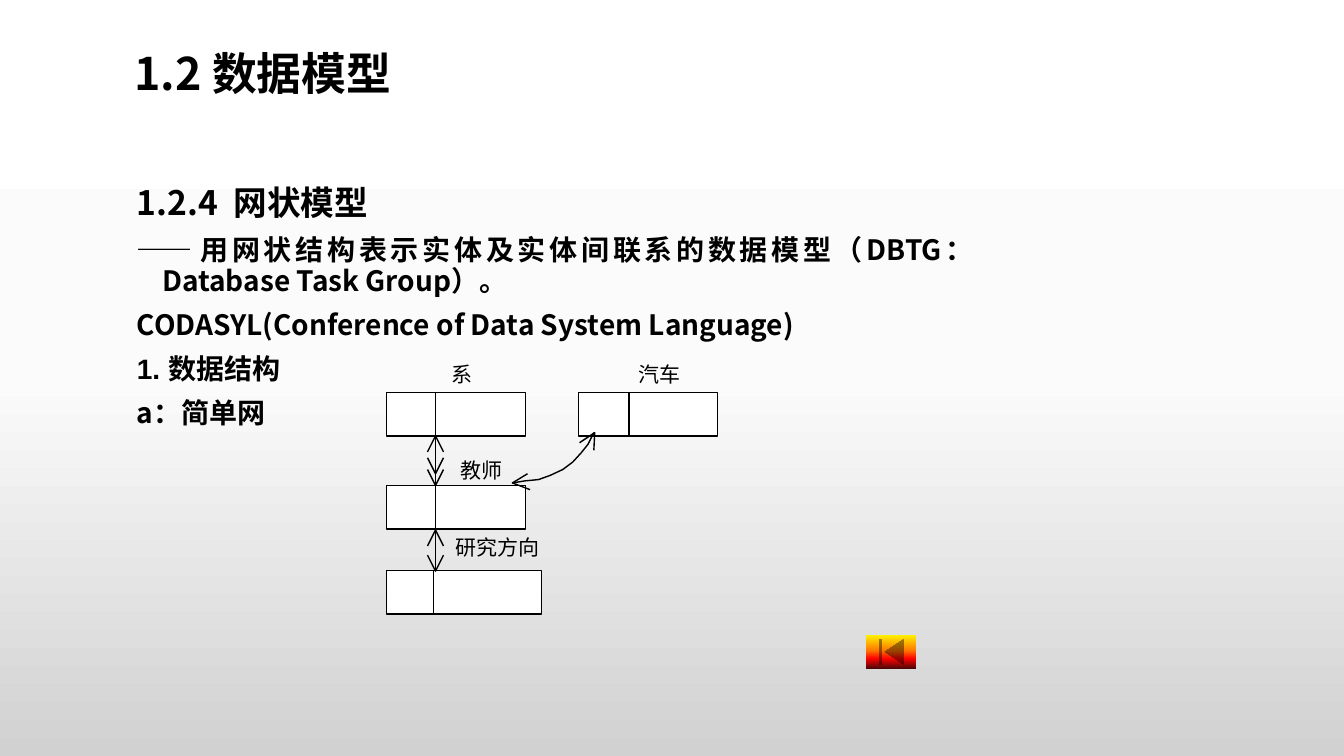
import dataclasses

import lxml.etree
import pptx
import pptx.dml.color
import pptx.enum.shapes
import pptx.enum.text
import pptx.oxml.ns
import pptx.util

qn = pptx.oxml.ns.qn
ALIGN = pptx.enum.text.PP_ALIGN
ANCHOR = pptx.enum.text.MSO_ANCHOR
SHAPE = pptx.enum.shapes.MSO_SHAPE


@dataclasses.dataclass(frozen=True)
class Theme:
    font: str = "Noto Sans CJK SC"
    number_font: str = "Arial"
    ink: str = "000000"
    paper: str = "FFFFFF"
    backdrop: tuple = ((0, "FFFFFF"), (50, "FBFBFB"), (100, "D1D1D1"))
    flame: tuple = ((0, "FFF200"), (45, "FF7A00"), (70, "FF0300"), (100, "4D0808"))
    title: int = 32
    heading: int = 24
    body: int = 20
    label: int = 15
    line: int = 1


THEME = Theme()

# Grid: 160 columns by 90 rows of square cells
COLUMNS, ROWS = 160, 90
CELL = pptx.util.Inches(7.5) // ROWS

# Record boxes: all share one height, with a divider inside
BOX_H, BOX_W = 5.2, 16.55
LEFT, RIGHT = 46, 68.9
TOP, MIDDLE, BOTTOM = 46.7, 57.8, 67.9
AXIS = 51.85


def grid(*cells):
    return [round(c * CELL) for c in cells]


def rgb(code):
    return pptx.dml.color.RGBColor.from_string(code)


def write(p, text, *, size, font=THEME.font, bold=False, align=ALIGN.LEFT,
          spacing=1.0, before=0, hanging=0):
    """Fill one paragraph with formatted text."""
    p.alignment, p.line_spacing = align, spacing
    p.space_before = pptx.util.Pt(before)
    r = p.add_run()
    r.text = text
    r.font.size, r.font.bold = pptx.util.Pt(size), bold
    r.font.color.rgb = rgb(THEME.ink)
    r.font.name = font
    ea = lxml.etree.SubElement(r.font._element, qn("a:ea"))
    ea.set("typeface", THEME.font)
    pPr = p._p.get_or_add_pPr()
    indent = pptx.util.Inches(hanging)
    pPr.set("marL", str(indent))
    pPr.set("indent", str(-indent))
    lxml.etree.SubElement(pPr, qn("a:buNone"))


def gradient(fill, element, stops):
    """Vertical gradient, first stop at the top."""
    fill.gradient()
    fill.gradient_angle = 270
    gs_lst = element.find(".//" + qn("a:gsLst"))
    for gs in list(gs_lst):
        gs_lst.remove(gs)
    for position, code in stops:
        gs = lxml.etree.SubElement(gs_lst, qn("a:gs"), pos=str(position * 1000))
        lxml.etree.SubElement(gs, qn("a:srgbClr"), val=code)


def outline(sp):
    sp.line.color.rgb = rgb(THEME.ink)
    sp.line.width = pptx.util.Pt(THEME.line)


def place(sp, *cells, anchor):
    sp.left, sp.top, sp.width, sp.height = grid(*cells)
    tf = sp.text_frame
    tf.auto_size = pptx.enum.text.MSO_AUTO_SIZE.NONE
    tf.vertical_anchor = anchor
    return tf


def line(s, x1, y1, x2, y2):
    cn = s.shapes.add_connector(
        pptx.enum.shapes.MSO_CONNECTOR.STRAIGHT, *grid(x1, y1, x2, y2))
    outline(cn)
    lxml.etree.SubElement(cn.element.spPr, qn("a:effectLst"))


def polyline(s, *points):
    start, *rest = [grid(*point) for point in points]
    builder = s.shapes.build_freeform(*start)
    builder.add_line_segments(rest, close=False)
    sp = builder.convert_to_shape()
    sp.shadow.inherit = False
    sp.fill.background()
    outline(sp)


def record(s, x, y, divider, width=BOX_W):
    sp = s.shapes.add_shape(SHAPE.RECTANGLE, *grid(x, y, width, BOX_H))
    sp.shadow.inherit = False
    sp.fill.solid()
    sp.fill.fore_color.rgb = rgb(THEME.paper)
    outline(sp)
    line(s, divider, y + 0.1, divider, y + 5.1)


def head(s, tip, direction):
    """Open vertical arrowhead: direction 1 points down, -1 up."""
    back = tip - 1.9 * direction
    polyline(s, (AXIS - 0.95, back), (AXIS, tip), (AXIS + 0.95, back))


def link(s, top, bottom):
    line(s, AXIS, top, AXIS, bottom)
    head(s, top, -1)
    head(s, bottom, 1)


def label(s, text, x, y):
    sp = s.shapes.add_textbox(*grid(x, y, 2.5 * len(text), 3))
    tf = sp.text_frame
    tf.margin_left = tf.margin_right = tf.margin_top = tf.margin_bottom = 0
    tf.word_wrap = False
    write(tf.paragraphs[0], text, size=THEME.label)


def add_text(s):
    tf = place(s.shapes.title, 14.8, 5.2, 102, 7.6, anchor=ANCHOR.MIDDLE)
    write(tf.paragraphs[0], "1.2 数据模型", size=THEME.title, bold=True, spacing=0.9)

    tf = place(s.placeholders[1], 15.1, 21.6, 102, 58, anchor=ANCHOR.TOP)
    items = [
        ("1.2.4  网状模型", THEME.heading, THEME.font),
        ("——用网状结构表示实体及实体间联系的数据模型（DBTG：Database Task Group）。",
         THEME.body, THEME.font),
        ("CODASYL(Conference of Data System Language)", THEME.body, THEME.font),
        ("1. 数据结构", THEME.body, THEME.number_font),
        ("a：简单网", THEME.body, THEME.font),
    ]
    for i, (text, size, font) in enumerate(items):
        p = tf.add_paragraph() if i else tf.paragraphs[0]
        write(p, text, size=size, font=font, bold=True, align=ALIGN.JUSTIFY,
              spacing=0.9, before=10, hanging=0.25)


def add_network(s):
    # Records
    record(s, LEFT, TOP, AXIS)
    record(s, RIGHT, TOP, 74.9)
    record(s, LEFT, MIDDLE, AXIS)
    record(s, LEFT, BOTTOM, 51.6, width=18.5)

    # Vertical links; the upper one has a double head below
    link(s, TOP + BOX_H, MIDDLE)
    line(s, AXIS, 54.6, AXIS, 56.4)
    head(s, 56.4, 1)
    link(s, 63.1, 68)

    # Curved link with its two heads
    polyline(s, (61, 57.5), (62.5, 57.25), (64.1, 57.1), (65.5, 56.6), (67, 55.9),
             (68.2, 55), (69.2, 53.9), (70, 52.9), (70.7, 51.5))
    polyline(s, (62.8, 56.4), (61, 57.5), (63.1, 58.3))
    polyline(s, (70.7, 53.6), (70.8, 51.5), (69, 52.7))

    # Record names
    label(s, "系", 53.8, 43)
    label(s, "汽车", 76, 43)
    label(s, "教师", 54.8, 54.5)
    label(s, "研究方向", 54.2, 63.6)


def add_button(s):
    sp = s.shapes.add_shape(SHAPE.ACTION_BUTTON_BEGINNING, *grid(103.1, 75.6, 6, 4))
    sp.shadow.inherit = False
    gradient(sp.fill, sp.element, THEME.flame)
    sp.line.fill.background()


def main():
    prs = pptx.Presentation()
    prs.slide_width, prs.slide_height = grid(COLUMNS, ROWS)
    s = prs.slides.add_slide(prs.slide_layouts[1])
    gradient(s.background.fill, s.element, THEME.backdrop)
    add_text(s)
    add_network(s)
    add_button(s)
    prs.save("out.pptx")


if __name__ == "__main__":
    main()
